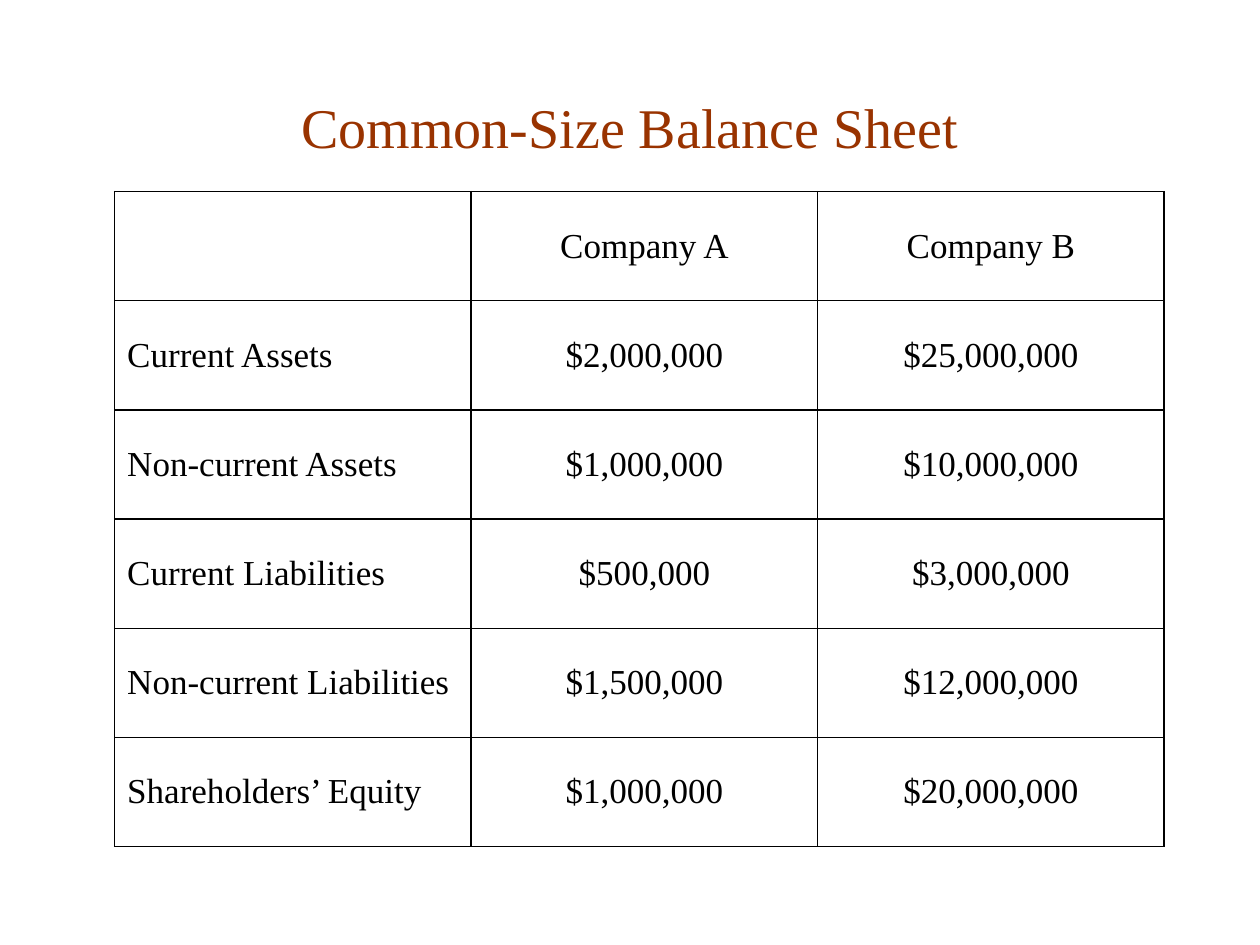
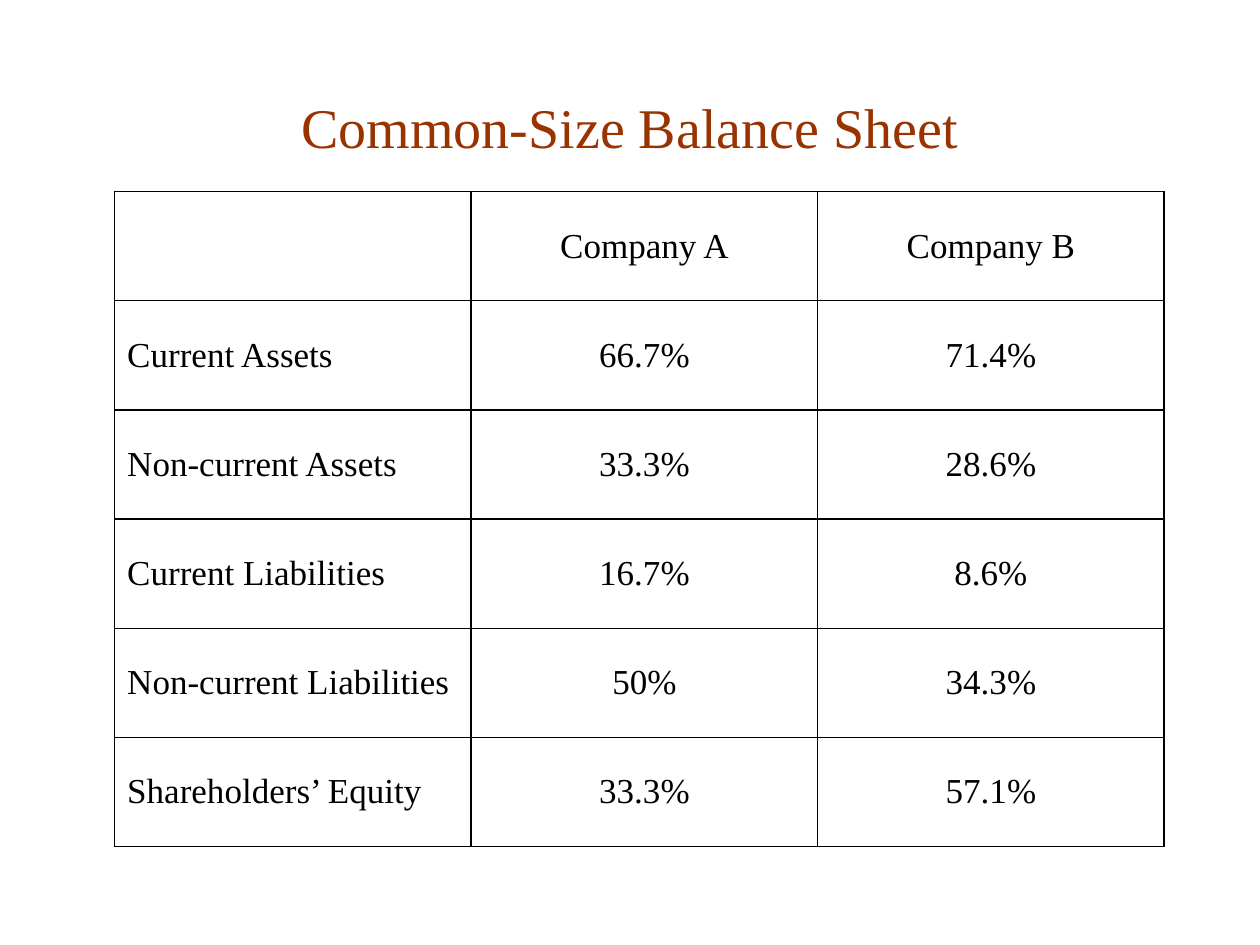
from lxml.etree import SubElement
from pptx import Presentation
from pptx.dml.color import RGBColor
from pptx.enum.text import MSO_ANCHOR, PP_ALIGN
from pptx.oxml.ns import qn
from pptx.util import Inches, Pt

COLORS = {"title": "993300", "text": "000000", "border": "000000", "cell": "FFFFFF"}
FONT = "Times New Roman"
TITLE = "Common-Size Balance Sheet"
COMPANIES = ["Company A", "Company B"]
ACCOUNTS = [
    "Current Assets",
    "Non-current Assets",
    "Current Liabilities",
    "Non-current Liabilities",
    "Shareholders’ Equity",
]
AMOUNTS = [
    ("$2,000,000", "$25,000,000"),
    ("$1,000,000", "$10,000,000"),
    ("$500,000", "$3,000,000"),
    ("$1,500,000", "$12,000,000"),
    ("$1,000,000", "$20,000,000"),
]
PERCENTAGES = [
    ("66.7%", "71.4%"),
    ("33.3%", "28.6%"),
    ("16.7%", "8.6%"),
    ("50%", "34.3%"),
    ("33.3%", "57.1%"),
]
COLUMN_WIDTHS = [2.83, 2.75, 2.75]
TABLE_HEIGHT = 5.2


def format_paragraph(paragraph, size, color, alignment):
    """Apply the deck font, a size, a colour and an alignment."""
    paragraph.alignment = alignment
    paragraph.font.name = FONT
    paragraph.font.size = Pt(size)
    paragraph.font.color.rgb = RGBColor.from_string(COLORS[color])


def add_title(slide):
    """Place and format the shared slide title."""
    title = slide.shapes.title
    title.left, title.top = Inches(0.59), Inches(0.68)
    title.width, title.height = Inches(8.82), Inches(0.64)
    title.text_frame.text = TITLE
    title.text_frame.vertical_anchor = MSO_ANCHOR.MIDDLE
    format_paragraph(title.text_frame.paragraphs[0], 32, "title", PP_ALIGN.CENTER)


def add_borders(cell):
    """Draw a one-point line on all four sides of a cell."""
    properties = cell._tc.get_or_add_tcPr()
    for side in ("a:lnL", "a:lnR", "a:lnT", "a:lnB"):
        line = SubElement(properties, qn(side), w=str(Pt(1)))
        fill = SubElement(line, qn("a:solidFill"))
        SubElement(fill, qn("a:srgbClr"), val=COLORS["border"])


def format_cell(cell, text, alignment):
    """Fill a table cell with text, borders and background."""
    add_borders(cell)
    cell.fill.solid()
    cell.fill.fore_color.rgb = RGBColor.from_string(COLORS["cell"])
    cell.vertical_anchor = MSO_ANCHOR.MIDDLE
    cell.text_frame.text = text
    format_paragraph(cell.text_frame.paragraphs[0], 20, "text", alignment)


def add_balance_table(slide, values):
    """Add the balance sheet table with one column per company."""
    rows = [("", *COMPANIES)]
    rows += [(account, *pair) for account, pair in zip(ACCOUNTS, values)]
    table = slide.shapes.add_table(
        len(rows), len(COLUMN_WIDTHS), Inches(0.91), Inches(1.52),
        Inches(sum(COLUMN_WIDTHS)), Inches(TABLE_HEIGHT),
    ).table
    table.first_row = False
    table.horz_banding = False
    for column, width in zip(table.columns, COLUMN_WIDTHS):
        column.width = Inches(width)
    for row_index, row in enumerate(rows):
        for column_index, text in enumerate(row):
            alignment = PP_ALIGN.CENTER if column_index else PP_ALIGN.LEFT
            format_cell(table.cell(row_index, column_index), text, alignment)


def main():
    """Build both balance sheet slides and save the presentation."""
    presentation = Presentation()
    presentation.slide_width = Inches(10)
    presentation.slide_height = Inches(7.5)
    for values in (AMOUNTS, PERCENTAGES):
        slide = presentation.slides.add_slide(presentation.slide_layouts[5])
        add_title(slide)
        add_balance_table(slide, values)
    presentation.save("out.pptx")


if __name__ == "__main__":
    main()
